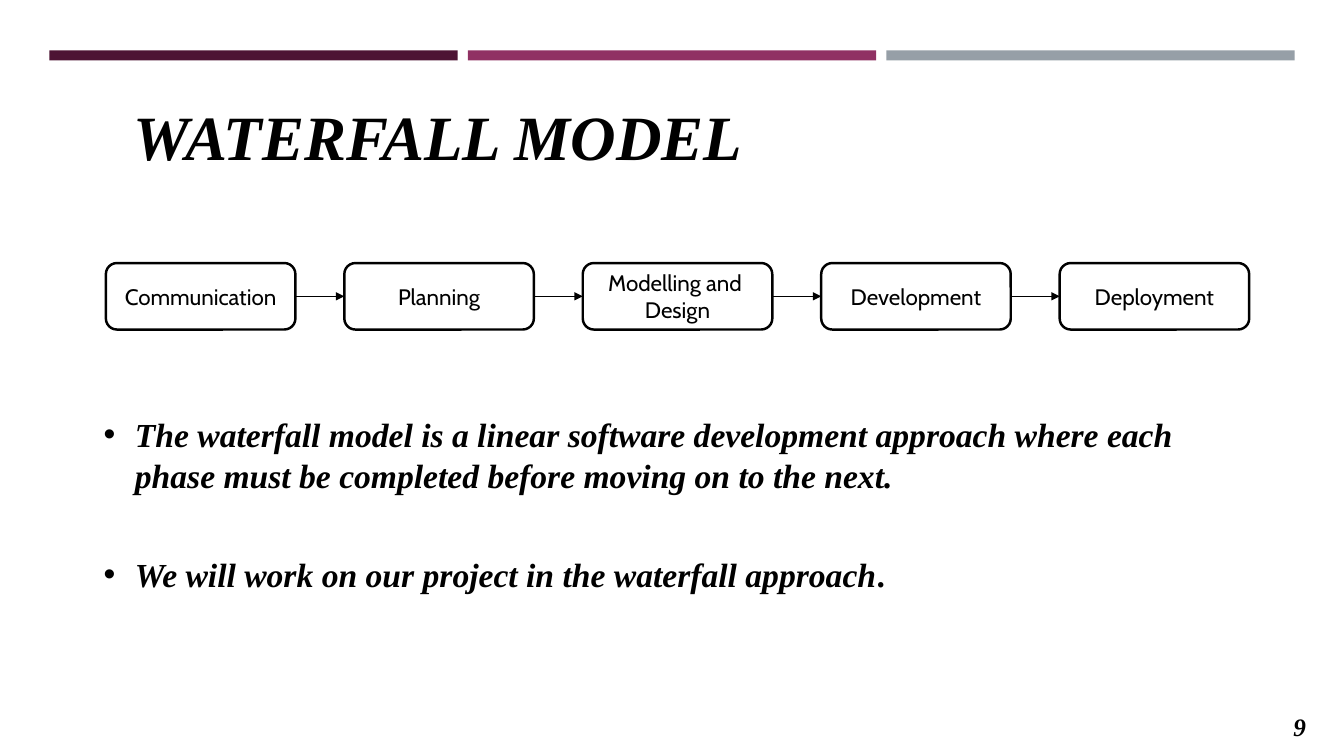
from lxml import etree
from pptx import Presentation
from pptx import util as u
from pptx.dml.color import RGBColor
from pptx.enum import shapes, text
from pptx.oxml.ns import qn

BLACK = RGBColor(0x00, 0x00, 0x00)
WHITE = RGBColor(0xFF, 0xFF, 0xFF)
PLUM = RGBColor(0x4D, 0x14, 0x34)
MAGENTA = RGBColor(0x90, 0x31, 0x63)
GRAY = RGBColor(0x96, 0x9F, 0xA7)
SERIF, SANS = "Times New Roman", "Cabin"

BARS = [PLUM, MAGENTA, GRAY]
TITLE = "WATERFALL MODEL"
PHASES = [["Communication"], ["Planning"], ["Modelling and ", "Design"],
          ["Development"], ["Deployment"]]
POINTS = [
    ("The waterfall model is a linear software development approach where each "
     "phase must be completed before moving on to the next.", "", 1, 28),
    ("We will work on our project in the waterfall approach", ".", 1.5, 0),
]
PAGE = "9"

SLIDE_W, SLIDE_H = 1333, 750
BAR_X, BAR_Y, BAR_W, BAR_H, BAR_STEP = 49, 50, 405, 10, 415
BOX_X, BOX_Y, BOX_W, BOX_H = 105, 261, 188, 66
BOX_LAST_X = 1051
INDENT = 31


def px(n):
    return u.Emu(round(n * 9144))


def add_box(s, kind, x, y, w, h, fill):
    sp = s.shapes.add_shape(kind, px(x), px(y), px(w), px(h))
    sp.shadow.inherit = False
    sp.fill.solid()
    sp.fill.fore_color.rgb = fill
    sp.line.fill.background()
    return sp


def set_font(p, name, size, strong):
    f = p.font
    f.name, f.size, f.bold, f.italic = name, u.Pt(size), strong, strong
    f.color.rgb = BLACK


def add_text(s, x, y, w, h):
    tf = s.shapes.add_textbox(px(x), px(y), px(w), px(h)).text_frame
    tf.word_wrap = True
    return tf


def add_line(s, x, y, w):
    c = s.shapes.add_connector(shapes.MSO_CONNECTOR.STRAIGHT,
                               px(x), px(y), px(x + w), px(y))
    c.line.color.rgb = BLACK
    c.line.width = u.Pt(1)
    etree.SubElement(c.line._get_or_add_ln(), qn("a:tailEnd"), type="triangle")
    etree.SubElement(c._element.spPr, qn("a:effectLst"))


def add_bullet(p):
    pPr = p._p.get_or_add_pPr()
    pPr.set("marL", str(px(INDENT)))
    pPr.set("indent", str(-px(INDENT)))
    font = etree.Element(qn("a:buFont"), typeface="Arial")
    char = etree.Element(qn("a:buChar"), char="•")
    pPr.insert_element_before(font, "a:defRPr")
    pPr.insert_element_before(char, "a:defRPr")


def main():
    prs = Presentation()
    prs.slide_width, prs.slide_height = px(SLIDE_W), px(SLIDE_H)
    s = prs.slides.add_slide(prs.slide_layouts[6])

    for i, color in enumerate(BARS):
        add_box(s, shapes.MSO_SHAPE.RECTANGLE, BAR_X + i * BAR_STEP, BAR_Y,
                BAR_W, BAR_H, color)

    step = (BOX_LAST_X - BOX_X) / (len(PHASES) - 1)
    for i, lines in enumerate(PHASES):
        x = BOX_X + i * step
        sp = add_box(s, shapes.MSO_SHAPE.ROUNDED_RECTANGLE, x, BOX_Y,
                     BOX_W, BOX_H, WHITE)
        sp.line.color.rgb = BLACK
        sp.line.width = u.Pt(1.75)
        tf = sp.text_frame
        tf.vertical_anchor = text.MSO_ANCHOR.MIDDLE
        tf.text = "\n".join(lines)
        for p in tf.paragraphs:
            p.alignment = text.PP_ALIGN.CENTER
            set_font(p, SANS, 16, False)
        if i < len(PHASES) - 1:
            add_line(s, x + BOX_W, BOX_Y + BOX_H / 2, step - BOX_W)

    for words, size, frame in [(TITLE, 45, (123, 92, 730, 86)),
                               (PAGE, 18, (1273, 701, 60, 40))]:
        tf = add_text(s, *frame)
        tf.text = words
        set_font(tf.paragraphs[0], SERIF, size, True)

    tf = add_text(s, 93, 406, 1160, 185)
    for i, (words, ending, spacing, after) in enumerate(POINTS):
        p = tf.add_paragraph() if i else tf.paragraphs[0]
        p.line_spacing = spacing
        p.space_after = u.Pt(after)
        set_font(p, SERIF, 24, True)
        add_bullet(p)
        p.add_run().text = words
        if ending:
            r = p.add_run()
            r.text = ending
            r.font.italic = False

    prs.save("out.pptx")


if __name__ == "__main__":
    main()
